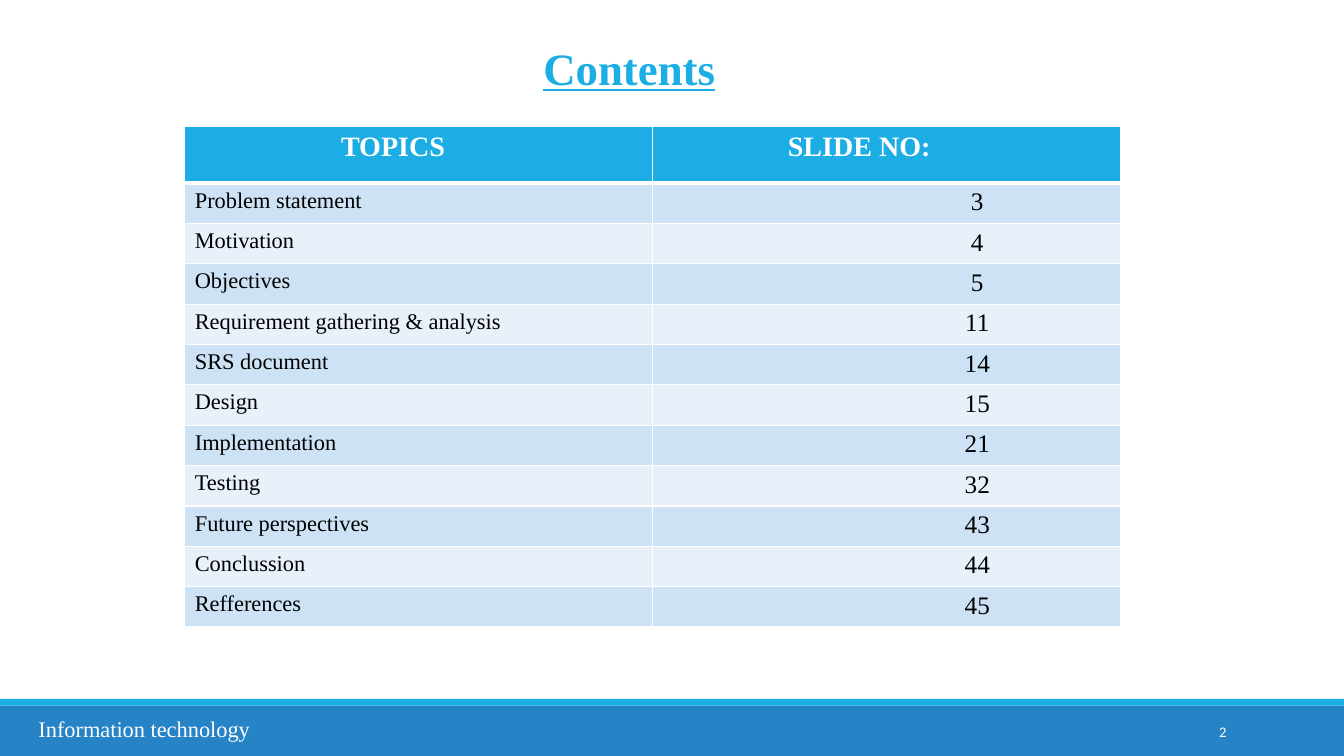
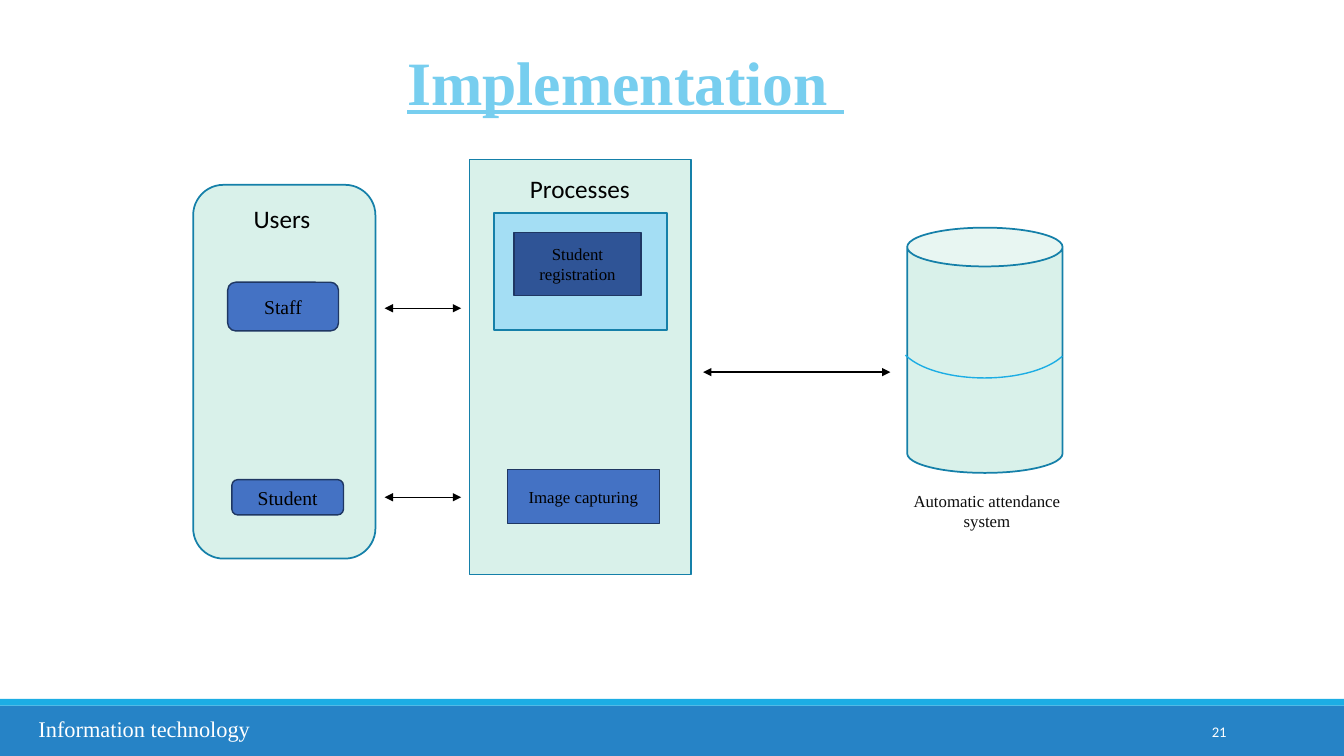
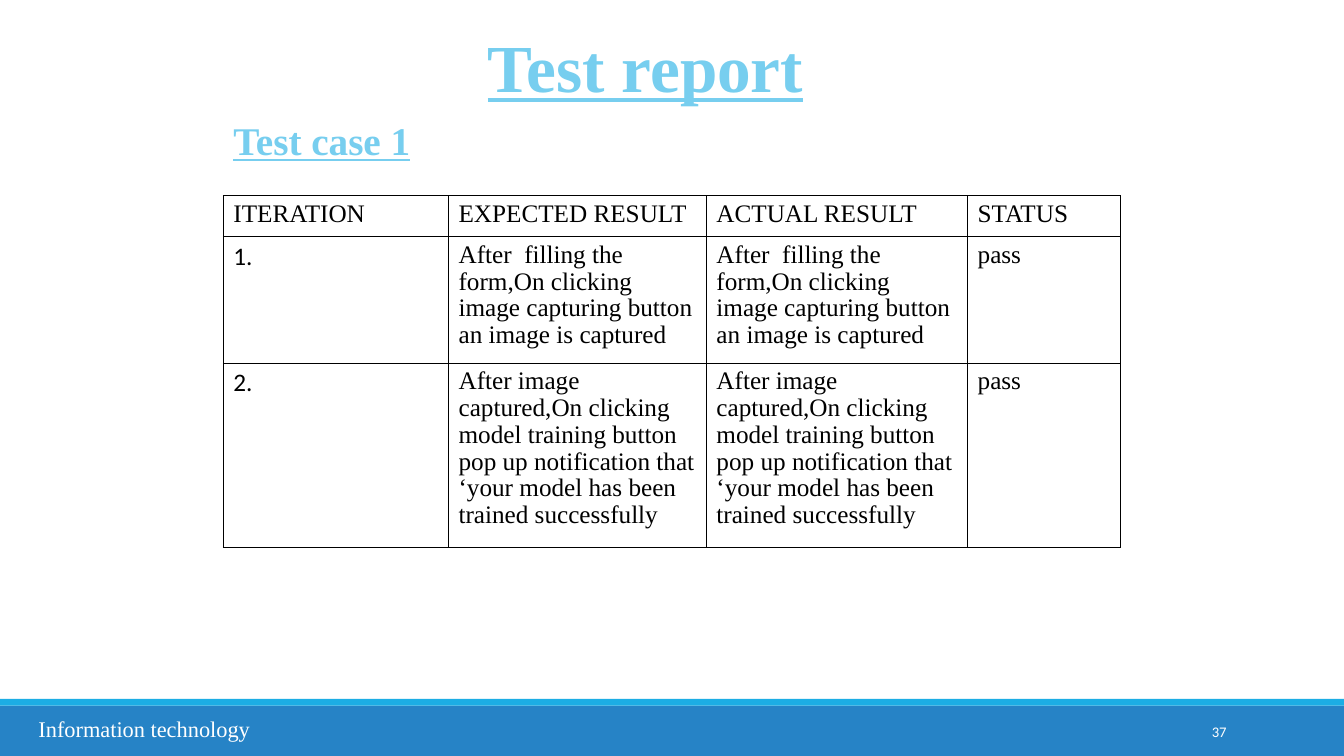
from lxml.etree import SubElement
from pptx import Presentation
from pptx.dml.color import RGBColor
from pptx.enum.shapes import MSO_CONNECTOR, MSO_SHAPE
from pptx.enum.text import MSO_ANCHOR, PP_ALIGN
from pptx.oxml import parse_xml
from pptx.oxml.ns import nsdecls, qn
from pptx.util import Inches, Pt

WIDTH, HEIGHT = Inches(13.33), Inches(7.5)
COLUMNS, ROWS = 160, 90
SERIF, SANS = "Times New Roman", "Calibri"

COLORS = {
    "white": "FFFFFF",
    "black": "000000",
    "ink": "0D0D0D",
    "accent": "1CADE4",
    "sky": "77CEEF",
    "footer": "2683C6",
    "row_dark": "CDE3F5",
    "row_light": "E8F1FA",
    "mint": "D9F1EA",
    "pale_blue": "A4DEF4",
    "blue": "4472C4",
    "deep_blue": "2F5496",
    "panel_edge": "1580A9",
    "box_edge": "1F3763",
}


def text_format(size, color="black", name=SERIF, strong=False):
    font = {"name": name, "size": Pt(size), "bold": strong, "underline": strong}
    return {"font": font, "color": color}


FORMATS = {
    "contents_title": text_format(32, "accent", strong=True),
    "diagram_title": text_format(44, "sky", strong=True),
    "report_title": text_format(48, "sky", strong=True),
    "subtitle": text_format(28, "sky", strong=True),
    "footer": text_format(16, "white"),
    "page_number": text_format(10.5, "white", SANS),
    "topic": text_format(16),
    "body": text_format(18),
    "label": text_format(18, name=SANS),
    "user": text_format(14),
    "process": text_format(12),
    "caption": text_format(12, "ink"),
    "table_head": {
        "font": {"name": SERIF, "size": Pt(20), "bold": True},
        "color": "white",
    },
}

TOPICS = [
    ("Problem statement", "3"),
    ("Motivation", "4"),
    ("Objectives", "5"),
    ("Requirement gathering & analysis", "11"),
    ("SRS document", "14"),
    ("Design", "15"),
    ("Implementation", "21"),
    ("Testing", "32"),
    ("Future perspectives", "43"),
    ("Conclussion", "44"),
    ("Refferences", "45"),
]

REPORT_HEAD = ["ITERATION", "EXPECTED RESULT", "ACTUAL RESULT", "STATUS"]
RESULTS = [
    "After  filling the form,On clicking image capturing button an image is captured",
    "After image captured,On clicking model training button pop up notification "
    "that ‘your model has been trained successfully",
]


def column(count):
    return int(WIDTH * count / COLUMNS)


def row(count):
    return int(HEIGHT * count / ROWS)


def grid_box(left, top, width, height):
    return column(left), row(top), column(width), row(height)


def color(name):
    return RGBColor.from_string(COLORS[name])


def write(frame, text, style, **layout):
    paragraph = frame.paragraphs[0]
    for attribute, value in layout.items():
        setattr(paragraph, attribute, value)
    run = paragraph.add_run()
    run.text = text
    for attribute, value in FORMATS[style]["font"].items():
        setattr(run.font, attribute, value)
    run.font.color.rgb = color(FORMATS[style]["color"])


def add_text(slide, box, text, style, anchor=MSO_ANCHOR.TOP, **layout):
    frame = slide.shapes.add_textbox(*grid_box(*box)).text_frame
    frame.word_wrap = True
    frame.vertical_anchor = anchor
    write(frame, text, style, **layout)


def add_box(slide, kind, box, fill=None, edge=None, weight=1, adjustments=()):
    shape = slide.shapes.add_shape(kind, *grid_box(*box))
    shape.shadow.inherit = False
    for index, value in enumerate(adjustments):
        shape.adjustments[index] = value
    if fill:
        shape.fill.solid()
        shape.fill.fore_color.rgb = color(fill)
    else:
        shape.fill.background()
    if edge:
        shape.line.color.rgb = color(edge)
        shape.line.width = Pt(weight)
    else:
        shape.line.fill.background()
    return shape


def add_panel(slide, kind, box, fill="mint"):
    add_box(slide, kind, box, fill, "panel_edge", 1.25)


def add_label_box(slide, kind, box, text, style, fill="blue", edge="box_edge"):
    frame = add_box(slide, kind, box, fill, edge).text_frame
    frame.word_wrap = True
    frame.vertical_anchor = MSO_ANCHOR.MIDDLE
    write(frame, text, style, alignment=PP_ALIGN.CENTER)


def add_double_arrow(slide, left, right, level):
    arrow = slide.shapes.add_connector(
        MSO_CONNECTOR.STRAIGHT, column(left), row(level), column(right), row(level)
    )
    arrow.line.color.rgb = color("black")
    arrow.line.width = Pt(1)
    properties = arrow.element.spPr
    line = properties.find(qn("a:ln"))
    for end in ("a:headEnd", "a:tailEnd"):
        SubElement(line, qn(end)).set("type", "triangle")
    SubElement(properties, qn("a:effectLst"))


def add_table(slide, left, top, widths, heights):
    box = grid_box(left, top, sum(widths), sum(heights))
    table = slide.shapes.add_table(len(heights), len(widths), *box).table
    table.first_row = table.horz_banding = False
    for table_column, width in zip(table.columns, widths):
        table_column.width = column(width)
    for table_row, height in zip(table.rows, heights):
        table_row.height = row(height)
    return table


def set_borders(cell, name, top=1, bottom=1):
    properties = cell._tc.get_or_add_tcPr()
    sides = {"lnL": 1, "lnR": 1, "lnT": top, "lnB": bottom}
    for index, (side, weight) in enumerate(sides.items()):
        border = parse_xml(
            f'<a:{side} {nsdecls("a")} w="{Pt(weight)}"><a:solidFill>'
            f'<a:srgbClr val="{COLORS[name]}"/></a:solidFill></a:{side}>'
        )
        properties.insert(index, border)


def fill_cell(cell, text, style, fill=None, indent=1.2, **layout):
    cell.margin_left = column(indent)
    if fill:
        cell.fill.solid()
        cell.fill.fore_color.rgb = color(fill)
    else:
        cell.fill.background()
    write(cell.text_frame, text, style, **layout)


def add_slide(presentation, number):
    slide = presentation.slides.add_slide(presentation.slide_layouts[6])
    add_box(slide, MSO_SHAPE.RECTANGLE, (0, 84, COLUMNS, 6), "footer")
    add_box(slide, MSO_SHAPE.RECTANGLE, (0, 83.2, COLUMNS, 0.8), "accent")
    add_text(slide, (3.4, 84.5, 36, 4.4), "Information technology", "footer")
    add_text(slide, (130, 84.7, 17.2, 4.8), number, "page_number",
             MSO_ANCHOR.MIDDLE, alignment=PP_ALIGN.RIGHT)
    return slide


def build_contents(presentation):
    slide = add_slide(presentation, "2")
    add_text(slide, (63.5, 4.2, 33, 8.4), "Contents", "contents_title")
    table = add_table(slide, 22, 15.1, [55.7] * 2, [6.7] + [4.8] * len(TOPICS))
    for index, (text, indent) in enumerate([("TOPICS", 18.6), ("SLIDE NO:", 16.1)]):
        cell = table.cell(0, index)
        fill_cell(cell, text, "table_head", "accent", indent)
        set_borders(cell, "white", bottom=3)
    for index, (topic, number) in enumerate(TOPICS, 1):
        fill = "row_dark" if index % 2 else "row_light"
        fill_cell(table.cell(index, 0), topic, "topic", fill)
        fill_cell(table.cell(index, 1), number, "body", fill, 22.8,
                  alignment=PP_ALIGN.CENTER)
        for cell in table.rows[index].cells:
            set_borders(cell, "white", top=3 if index == 1 else 1)


def build_implementation(presentation):
    slide = add_slide(presentation, "21")
    rectangle, rounded = MSO_SHAPE.RECTANGLE, MSO_SHAPE.ROUNDED_RECTANGLE
    add_text(slide, (47.3, 4.6, 75.2, 10), "Implementation ", "diagram_title")

    add_panel(slide, rounded, (23, 22, 21.7, 44.5))
    add_text(slide, (29, 23.6, 9.7, 4.8), "Users", "label")
    add_label_box(slide, rounded, (27.1, 33.6, 13.2, 5.8), "Staff", "user")
    add_label_box(slide, rounded, (27.6, 57.1, 13.3, 4.2), "Student", "user")

    add_panel(slide, rectangle, (55.9, 19, 26.4, 49.4))
    add_text(slide, (61.9, 20, 17.3, 4.8), "Processes", "label")
    add_panel(slide, rectangle, (58.8, 25.4, 20.6, 13.9), "pale_blue")
    add_label_box(slide, rectangle, (61.2, 27.7, 15.1, 7.5),
                  "Student registration", "process", "deep_blue")
    add_label_box(slide, rectangle, (60.4, 55.9, 18.1, 6.4),
                  "Image capturing", "process")

    add_panel(slide, MSO_SHAPE.CAN, (108, 27.1, 18.5, 29.2))
    add_box(slide, MSO_SHAPE.ARC, (106.9, 35.8, 20.6, 9.2), edge="accent",
            adjustments=(7.34, 101.25))
    add_label_box(slide, rectangle, (106.9, 57.1, 21.2, 7.4),
                  "Automatic attendance system", "caption", "white", "white")

    for left, right, level in [(45.8, 54.9, 36.7), (45.8, 54.9, 59.2),
                               (83.7, 106, 44.3)]:
        add_double_arrow(slide, left, right, level)


def build_report(presentation):
    slide = add_slide(presentation, "37")
    add_text(slide, (56.9, 2.4, 58.5, 10.9), "Test report", "report_title")
    add_text(slide, (26.6, 13.3, 28.7, 6.8), "Test case 1", "subtitle")
    table = add_table(slide, 26.6, 23.3, [26.8, 30.7, 31.1, 18.2], [4.9, 14.5, 21.2])
    records = [REPORT_HEAD] + [
        [f"{number}.", result, result, "pass"]
        for number, result in enumerate(RESULTS, 1)
    ]
    for row_index, record in enumerate(records):
        for column_index, text in enumerate(record):
            cell = table.cell(row_index, column_index)
            style = "label" if row_index and not column_index else "body"
            fill_cell(cell, text, style, line_spacing=0.96)
            set_borders(cell, "black")


def main():
    presentation = Presentation()
    presentation.slide_width, presentation.slide_height = WIDTH, HEIGHT
    for build in (build_contents, build_implementation, build_report):
        build(presentation)
    presentation.save("out.pptx")


if __name__ == "__main__":
    main()
